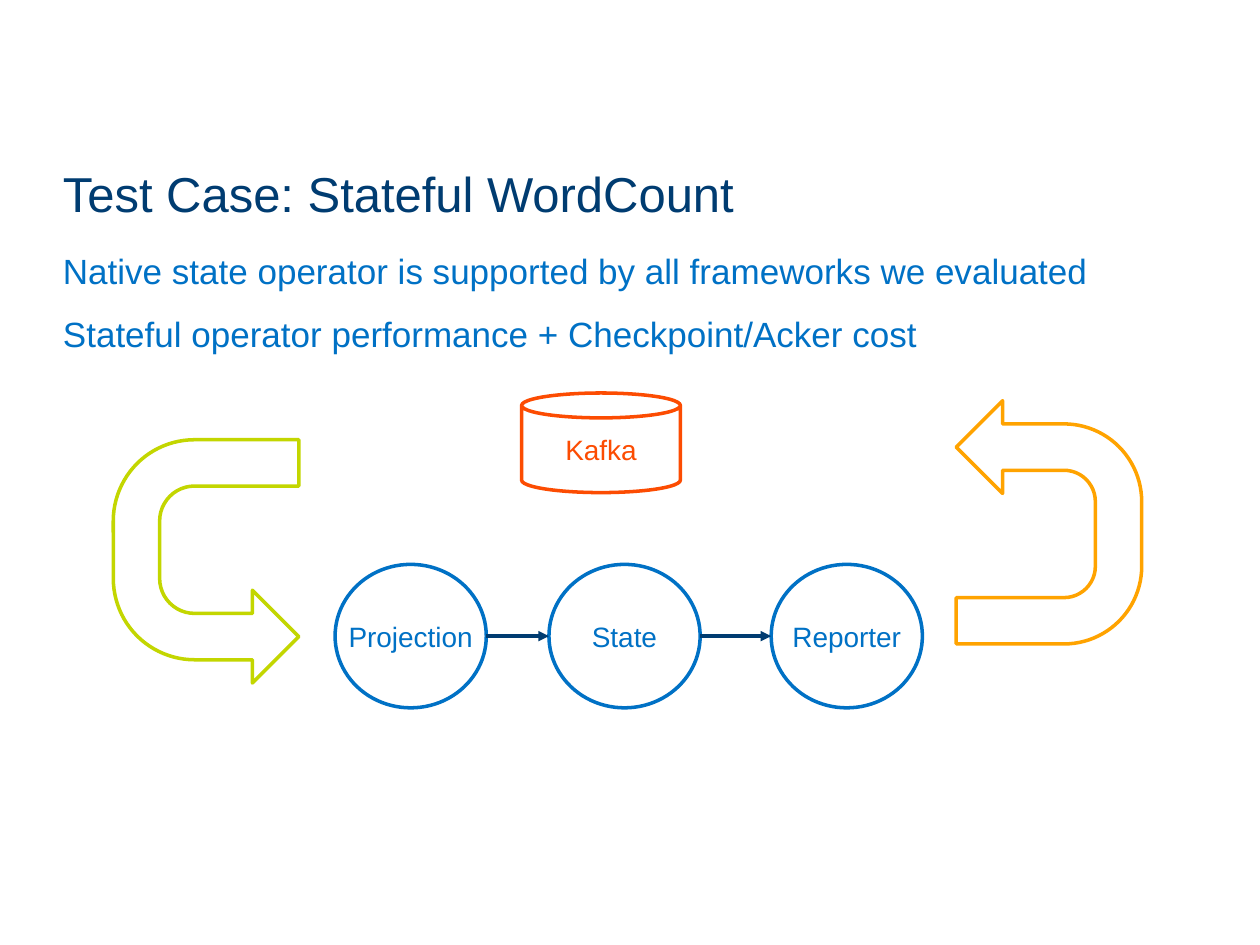
from pptx import Presentation
from pptx.dml.color import RGBColor
from pptx.enum.shapes import MSO_CONNECTOR, MSO_SHAPE
from pptx.enum.text import MSO_ANCHOR, PP_ALIGN
from pptx.oxml import parse_xml
from pptx.oxml.ns import nsdecls, qn
from pptx.util import Pt

HUES = {
    "navy": "003C71",
    "blue": "0071C5",
    "red": "FC4C02",
    "lime": "C3D600",
    "gold": "FFA300",
    "white": "FFFFFF",
}
FONT = "Arial"
STEP_TOP, STEP_WIDE, STEP_HIGH = 322.5, 86.4, 82
STEPS = [("Projection", 191.5), ("State", 313.7), ("Reporter", 440.7)]


def color(name):
    return RGBColor.from_string(HUES[name])


def style(para, size, hue):
    for run in para.runs:
        run.font.name = FONT
        run.font.size = Pt(size)
        run.font.color.rgb = color(hue)


def add_text(slide, box, lines, size, hue, gap=0):
    frame = slide.shapes.add_textbox(*map(Pt, box)).text_frame
    frame.word_wrap = True
    frame.margin_left = frame.margin_right = 0
    frame.margin_top = frame.margin_bottom = 0
    frame.text = "\n".join(lines)
    for i, para in enumerate(frame.paragraphs):
        para.space_before = Pt(gap if i else 0)
        style(para, size, hue)


def add_shape(slide, kind, box, hue, fill=None):
    shape = slide.shapes.add_shape(kind, *map(Pt, box))
    shape.shadow.inherit = False
    if fill:
        shape.fill.solid()
        shape.fill.fore_color.rgb = color(fill)
    else:
        shape.fill.background()
    shape.line.color.rgb = color(hue)
    shape.line.width = Pt(2)
    return shape


def add_label(shape, text, hue):
    frame = shape.text_frame
    frame.word_wrap = False
    frame.vertical_anchor = MSO_ANCHOR.MIDDLE
    frame.text = text
    para = frame.paragraphs[0]
    para.alignment = PP_ALIGN.CENTER
    style(para, 16, hue)
    edge = parse_xml(
        f'<a:ln {nsdecls("a")} w="{Pt(0.75)}"><a:solidFill>'
        f'<a:srgbClr val="{HUES[hue]}"/></a:solidFill></a:ln>'
    )
    para.runs[0].font._element.insert(0, edge)


def add_step(slide, text, left):
    box = (left, STEP_TOP, STEP_WIDE, STEP_HIGH)
    shape = add_shape(slide, MSO_SHAPE.OVAL, box, "blue")
    frame = shape.text_frame
    frame.margin_left = frame.margin_right = Pt(5)
    frame.margin_top = frame.margin_bottom = Pt(3)
    add_label(shape, text, "blue")


def add_turn(slide, left, top, hue, flip, bend):
    box = (left, top, 139, 106)
    shape = add_shape(slide, MSO_SHAPE.U_TURN_ARROW, box, hue, "white")
    for i, value in enumerate((0.25, 0.25, 0.25, bend, 1)):
        shape.adjustments[i] = value
    shape.rotation = 270
    shape._element.spPr.find(qn("a:xfrm")).set(flip, "1")


def add_link(slide, start, end):
    y = STEP_TOP + STEP_HIGH / 2
    link = slide.shapes.add_connector(
        MSO_CONNECTOR.STRAIGHT, Pt(start), Pt(y), Pt(end), Pt(y)
    )
    link.line.color.rgb = color("navy")
    link.line.width = Pt(2)
    head = parse_xml(f'<a:tailEnd {nsdecls("a")} type="triangle"/>')
    link.line._get_or_add_ln().append(head)
    link._element.spPr.append(parse_xml(f'<a:effectLst {nsdecls("a")}/>'))


def main():
    deck = Presentation()
    deck.slide_width, deck.slide_height = Pt(720), Pt(540)
    slide = deck.slides.add_slide(deck.slide_layouts[6])

    title = ["Test Case: Stateful WordCount"]
    add_text(slide, (36, 93.6, 648, 68.4), title, 28, "navy")
    points = [
        "Native state operator is supported by all frameworks we evaluated",
        "Stateful operator performance + Checkpoint/Acker cost",
    ]
    add_text(slide, (36, 142.6, 648, 67), points, 20, "blue", 12)

    store = add_shape(
        slide, MSO_SHAPE.CAN, (298.1, 224.6, 90.7, 56.9), "red", "white"
    )
    add_label(store, "Kafka", "red")
    add_turn(slide, 48.2, 267.8, "lime", "flipH", 0.438)
    add_turn(slide, 529.9, 245.5, "gold", "flipV", 0.419)

    for text, left in STEPS:
        add_step(slide, text, left)
    for (_, left), (_, after) in zip(STEPS, STEPS[1:]):
        add_link(slide, left + STEP_WIDE, after)

    deck.save("out.pptx")


if __name__ == "__main__":
    main()
